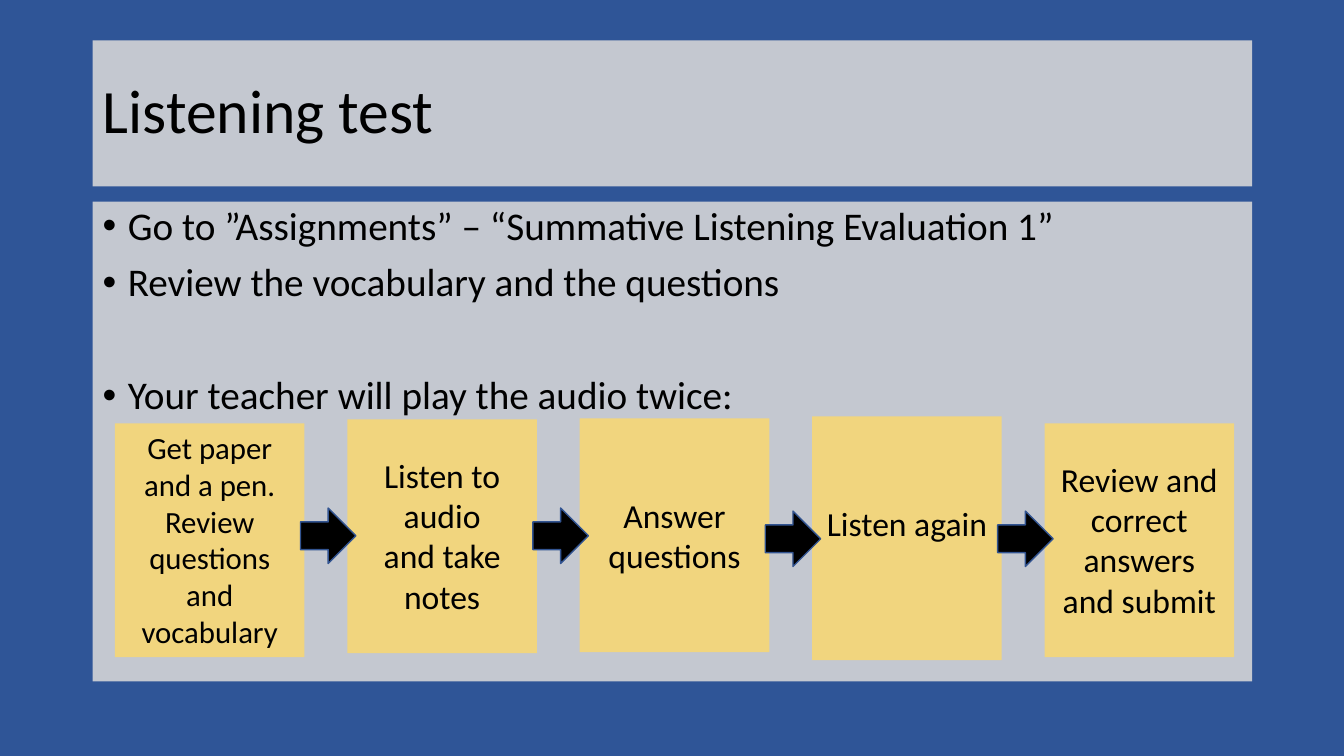
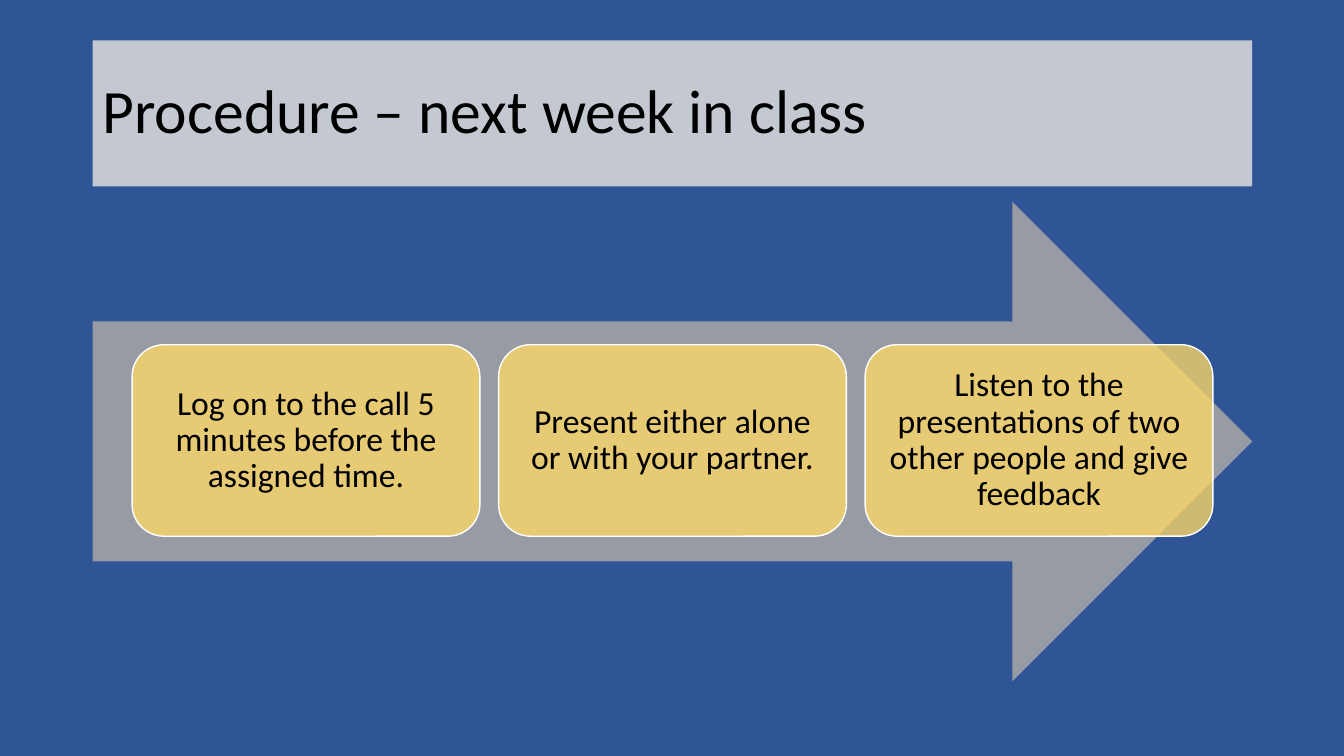
from lxml.etree import SubElement
from pptx import Presentation
from pptx.dml.color import RGBColor
from pptx.enum.shapes import MSO_SHAPE as Shape
from pptx.enum.text import MSO_ANCHOR as Anchor, PP_ALIGN as Align
from pptx.oxml.ns import qn
from pptx.util import Inches, Pt

# Content
TEST_TITLE = "Listening test"
BULLETS = [  # text, space before in points
    ("Go to ”Assignments” – “Summative Listening Evaluation 1”", 0),
    ("Review the vocabulary and the questions", 10),
    ("Your teacher will play the audio twice:", 50.5),
]
STEPS = [  # paragraphs, text size, box top, box height, text drop
    (["Get paper and a pen.", "Review questions and vocabulary"], 22, 4.2, 2.32, 0),
    (["Listen to audio", "and take notes"], 24, 4.16, 2.32, 0.3),
    (["Answer questions"], 24, 4.15, 2.32, 0.71),
    (["Listen again"], 24, 4.13, 2.42, 0.81),
    (["Review and correct answers and submit"], 24, 4.2, 2.32, 0.3),
]
ARROW_TOPS = [5.04, 5.04, 5.07, 5.07]
PROCEDURE_TITLE = "Procedure – next week in class"
CARDS = [
    "Log on to the call 5 minutes before the assigned time.",
    "Present either alone or with your partner.",
    "Listen to the presentations of two other people and give feedback",
]

# Shared style
FONT = "Calibri"
BLUE = RGBColor(0x2F, 0x55, 0x97)
ARROW_EDGE = RGBColor(0x32, 0x54, 0x91)
PANEL = RGBColor(0xD9, 0xD9, 0xD9)
GREY = RGBColor(0xA6, 0xA6, 0xA6)
YELLOW = RGBColor(0xFF, 0xD9, 0x66)
WHITE = RGBColor(0xFF, 0xFF, 0xFF)
BLACK = RGBColor(0, 0, 0)

# Layout in inches
SLIDE_W, SLIDE_H = 13.33, 7.5
LEFT, WIDTH = 0.92, 11.5
TITLE_AREA = (LEFT, 0.4, WIDTH, 1.45)
BODY_AREA = (LEFT, 2, WIDTH, 4.76)
STEP_LEFT, STEP_LAST, STEP_W = 1.14, 10.36, 1.88
STEP_PITCH = (STEP_LAST - STEP_LEFT) / (len(STEPS) - 1)
ARROW_SIZE, ARROW_OVERLAP = 0.55, 0.04
CARD_LEFT, CARD_LAST, CARD_TOP, CARD_W, CARD_H = 1.31, 8.58, 3.42, 3.45, 1.9
CARD_PITCH = (CARD_LAST - CARD_LEFT) / (len(CARDS) - 1)


def add_box(page, kind, area, color, opacity=100, edge=None):
    box = page.shapes.add_shape(kind, *(Inches(length) for length in area))
    box.shadow.inherit = False
    box.fill.solid()
    box.fill.fore_color.rgb = color
    if opacity < 100:
        tint = box.fill._xPr.find(qn("a:solidFill"))[0]
        SubElement(tint, qn("a:alpha"), val=str(opacity * 1000))
    if edge is None:
        box.line.fill.background()
    else:
        box.line.color.rgb = edge
        box.line.width = Pt(1)
    return box


def add_bullet(para):
    props = para._p.get_or_add_pPr()
    props.set("marL", str(Inches(0.25)))
    props.set("indent", str(-Inches(0.25)))
    SubElement(props, qn("a:buFont"), typeface="Arial")
    SubElement(props, qn("a:buChar"), char="•")


def write(box, lines, size, align=Align.LEFT, anchor=Anchor.TOP,
          spacing=1.0, gaps=None, bullets=False):
    frame = box.text_frame
    frame.word_wrap = True
    frame.vertical_anchor = anchor
    for index, line in enumerate(lines):
        para = frame.add_paragraph() if index else frame.paragraphs[0]
        para.text = line
        para.alignment = align
        para.line_spacing = spacing
        if gaps:
            para.space_before = Pt(gaps[index])
        if bullets:
            add_bullet(para)
        para.font.name = FONT
        para.font.size = Pt(size)
        para.font.color.rgb = BLACK


def add_page(deck, title):
    page = deck.slides.add_slide(deck.slide_layouts[6])
    page.background.fill.solid()
    page.background.fill.fore_color.rgb = BLUE
    band = add_box(page, Shape.RECTANGLE, TITLE_AREA, PANEL, 88)
    write(band, [title], 44, anchor=Anchor.MIDDLE, spacing=0.9)
    return page


def build_test(deck):
    page = add_page(deck, TEST_TITLE)
    panel = add_box(page, Shape.RECTANGLE, BODY_AREA, PANEL, 88)
    lines, gaps = zip(*BULLETS)
    write(panel, lines, 28, spacing=0.9, gaps=gaps, bullets=True)

    # Steps
    for index, (lines, size, top, height, drop) in enumerate(STEPS):
        area = (STEP_LEFT + index * STEP_PITCH, top, STEP_W, height)
        step = add_box(page, Shape.RECTANGLE, area, YELLOW, 77)
        step.text_frame.margin_top = Inches(0.05 + drop)
        write(step, lines, size, Align.CENTER)

    # Arrows between the steps
    first = STEP_LEFT + STEP_W - ARROW_OVERLAP
    for index, top in enumerate(ARROW_TOPS):
        area = (first + index * STEP_PITCH, top, ARROW_SIZE, ARROW_SIZE)
        add_box(page, Shape.RIGHT_ARROW, area, BLACK, edge=ARROW_EDGE)


def build_procedure(deck):
    page = add_page(deck, PROCEDURE_TITLE)
    add_box(page, Shape.RIGHT_ARROW, BODY_AREA, GREY, 87)
    for index, text in enumerate(CARDS):
        area = (CARD_LEFT + index * CARD_PITCH, CARD_TOP, CARD_W, CARD_H)
        card = add_box(page, Shape.ROUNDED_RECTANGLE, area, YELLOW, 77, WHITE)
        write(card, [text], 24, Align.CENTER, Anchor.MIDDLE, 0.9)


def main():
    deck = Presentation()
    deck.slide_width, deck.slide_height = Inches(SLIDE_W), Inches(SLIDE_H)
    build_test(deck)
    build_procedure(deck)
    deck.save("out.pptx")


if __name__ == "__main__":
    main()
